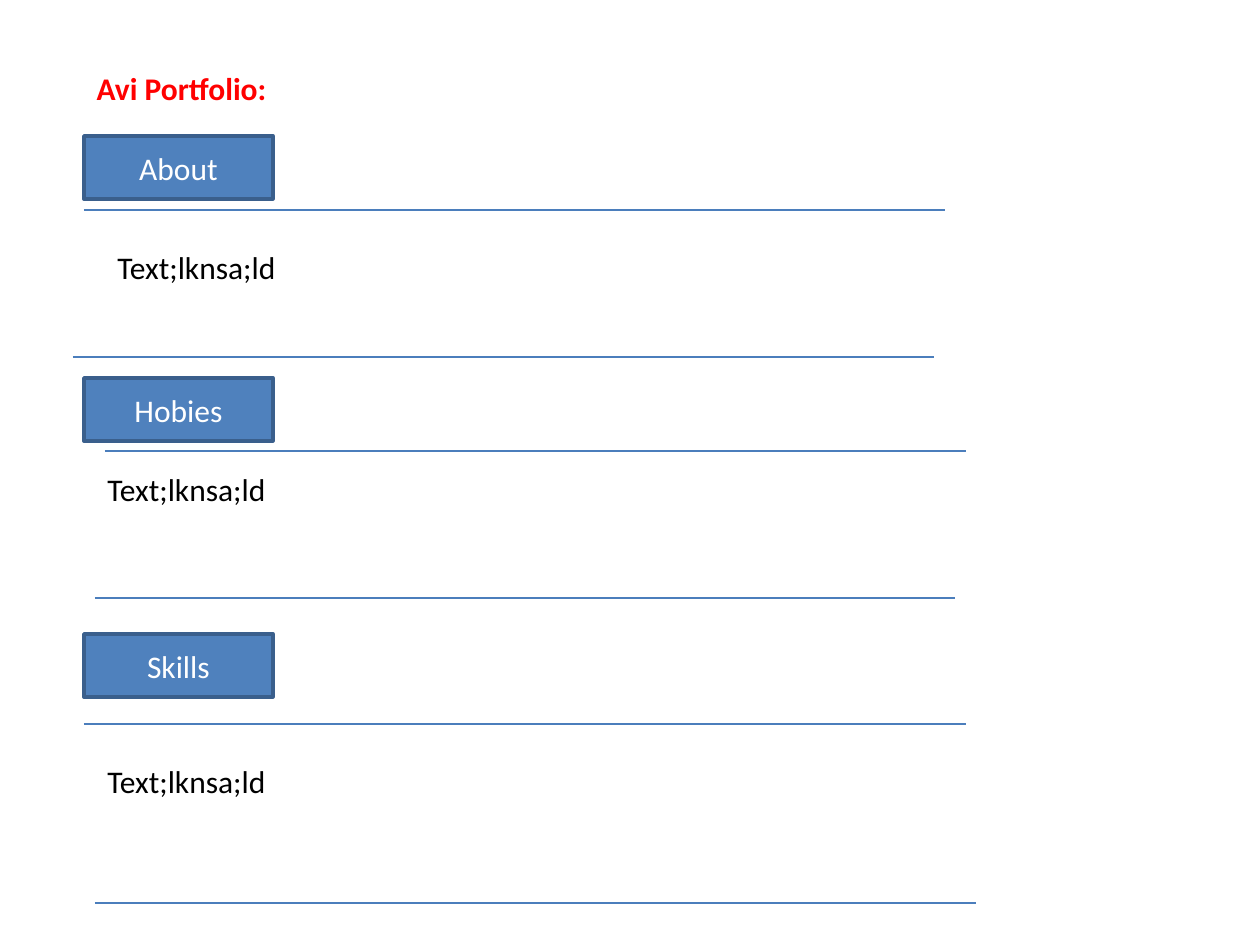
from dataclasses import dataclass

import lxml.etree
import pptx
import pptx.dml.color
import pptx.enum.shapes
import pptx.enum.text
import pptx.oxml.ns
import pptx.util

RGB = pptx.dml.color.RGBColor
ALIGN = pptx.enum.text.PP_ALIGN
ANCHOR = pptx.enum.text.MSO_ANCHOR

RED = RGB(0xFF, 0x00, 0x00)
WHITE = RGB(0xFF, 0xFF, 0xFF)
BLACK = RGB(0x00, 0x00, 0x00)
BLUE = RGB(0x4F, 0x81, 0xBD)
EDGE = RGB(0x3A, 0x5F, 0x8C)
RULE = RGB(0x4B, 0x7E, 0xBC)

PX_PER_INCH = 126
LEFT = 84
BUTTON_W, BUTTON_H = 189, 63
TEXT_W, TEXT_H = 525, 50


@dataclass
class Rule:
    """A horizontal line."""
    x1: int
    x2: int
    y: int


@dataclass
class Section:
    """A headed block: button, body text and the rules around it."""
    heading: str
    button_y: int
    body_x: int
    body_y: int
    top: Rule
    bottom: Rule


SECTIONS = [
    Section("About", 136, 105, 242, Rule(84, 945, 210), Rule(73, 934, 357)),
    Section("Hobies", 378, 95, 464, Rule(105, 966, 451), Rule(95, 955, 598)),
    Section("Skills", 634, 95, 756, Rule(84, 966, 724), Rule(95, 976, 903)),
]


def px(n: int) -> pptx.util.Emu:
    """Convert pixels to EMU."""
    return pptx.util.Emu(round(n * 914400 / PX_PER_INCH))


def write(sp, text: str, *, color: RGB, bold: bool = False,
          align=ALIGN.LEFT, anchor=ANCHOR.TOP) -> None:
    """Put formatted text into a shape."""
    tf = sp.text_frame
    tf.word_wrap = True
    tf.auto_size = pptx.enum.text.MSO_AUTO_SIZE.NONE
    tf.vertical_anchor = anchor
    p = tf.paragraphs[0]
    p.alignment = align
    r = p.add_run()
    r.text = text
    r.font.name = "Calibri"
    r.font.size = pptx.util.Pt(18)
    r.font.bold = bold
    r.font.color.rgb = color


def add_title(s, text: str) -> None:
    """Place the slide title."""
    sp = s.shapes.title
    sp.left, sp.top, sp.width, sp.height = px(LEFT), px(63), px(284), px(TEXT_H)
    write(sp, text, color=RED, bold=True)


def add_button(s, text: str, y: int) -> None:
    """Draw a section heading button."""
    sp = s.shapes.add_shape(pptx.enum.shapes.MSO_SHAPE.RECTANGLE,
                            px(LEFT), px(y), px(BUTTON_W), px(BUTTON_H))
    sp.shadow.inherit = False
    sp.fill.solid()
    sp.fill.fore_color.rgb = BLUE
    sp.line.color.rgb = EDGE
    sp.line.width = pptx.util.Pt(2)
    write(sp, text, color=WHITE, align=ALIGN.CENTER, anchor=ANCHOR.MIDDLE)


def add_rule(s, rule: Rule) -> None:
    """Draw a horizontal line without shadow."""
    line = s.shapes.add_connector(pptx.enum.shapes.MSO_CONNECTOR.STRAIGHT,
                                  px(rule.x1), px(rule.y), px(rule.x2), px(rule.y))
    line.line.color.rgb = RULE
    line.line.width = pptx.util.Pt(0.75)
    lxml.etree.SubElement(line._element.spPr, pptx.oxml.ns.qn("a:effectLst"))


def add_body(s, text: str, x: int, y: int) -> None:
    """Place the text of a section."""
    sp = s.shapes.add_textbox(px(x), px(y), px(TEXT_W), px(TEXT_H))
    write(sp, text, color=BLACK)


def main() -> None:
    """Build and save the slide."""
    prs = pptx.Presentation()
    prs.slide_width, prs.slide_height = pptx.util.Inches(10), pptx.util.Inches(7.5)
    s = prs.slides.add_slide(prs.slide_layouts.get_by_name("Title Only"))
    add_title(s, "Avi Portfolio:")
    for section in SECTIONS:
        add_button(s, section.heading, section.button_y)
        add_rule(s, section.top)
        add_rule(s, section.bottom)
        add_body(s, "Text;lknsa;ld", section.body_x, section.body_y)
    prs.save("out.pptx")


main()
